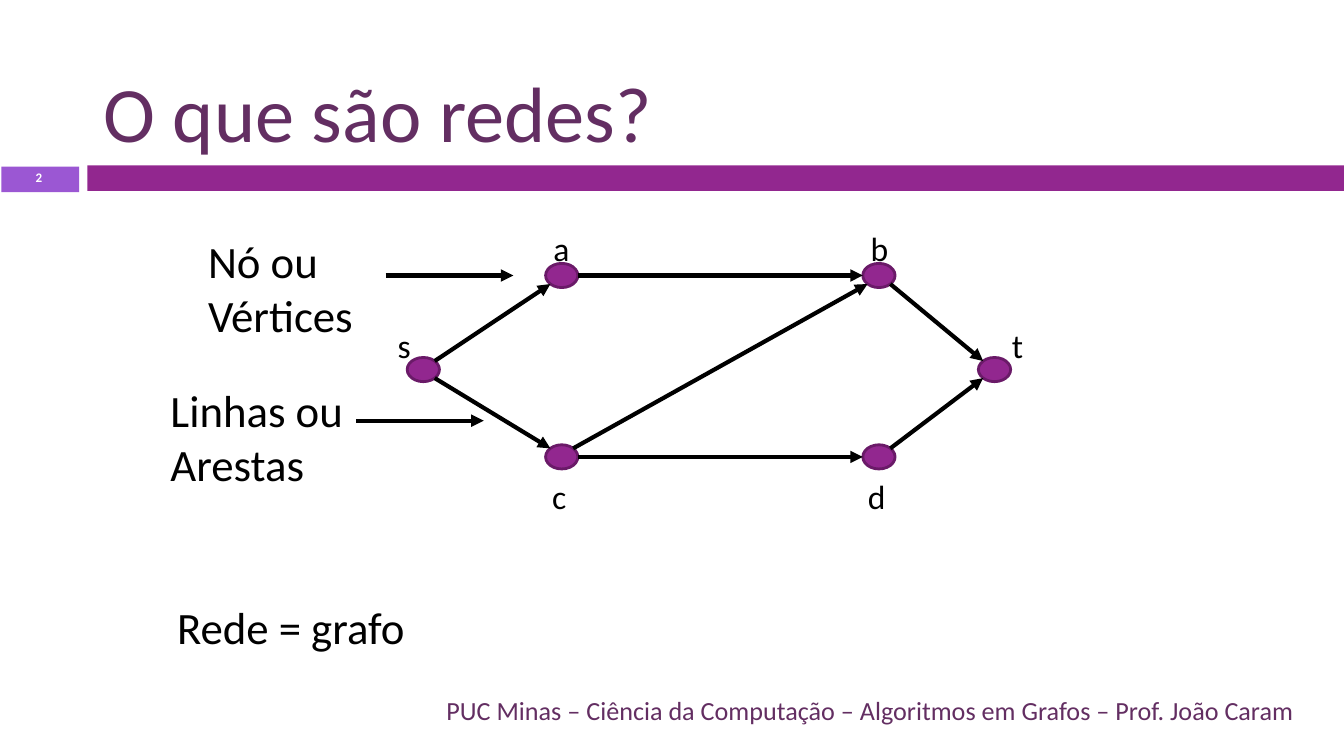
from dataclasses import dataclass
from math import sqrt

from lxml import etree
from pptx import Presentation
from pptx.dml.color import RGBColor
from pptx.enum.shapes import MSO_CONNECTOR, MSO_SHAPE
from pptx.enum.text import MSO_ANCHOR, MSO_AUTO_SIZE, PP_ALIGN
from pptx.oxml.ns import qn
from pptx.util import Inches, Pt


@dataclass(frozen=True)
class Theme:
    font: str = "Calibri"
    purple: str = "92278F"
    violet: str = "9B57D3"
    outline: str = "6A1A68"
    heading: str = "632E62"
    ink: str = "000000"
    white: str = "FFFFFF"
    title_size: int = 42
    note_size: int = 24
    label_size: int = 18
    footer_size: int = 14
    number_size: int = 7


class NetworkSlide:
    """Draws the elements of a network slide in one theme."""

    node_width, node_height = 0.24, 0.18

    def __init__(self, page, theme):
        self.page = page
        self.theme = theme

    def shape(self, kind, left, top, width, height, fill, outline=None):
        shape = self.page.shapes.add_shape(
            kind, Inches(left), Inches(top), Inches(width), Inches(height))
        shape.shadow.inherit = False
        shape.fill.solid()
        shape.fill.fore_color.rgb = RGBColor.from_string(fill)
        if outline:
            shape.line.color.rgb = RGBColor.from_string(outline)
            shape.line.width = Pt(1.5)
        else:
            shape.line.fill.background()

    def bar(self, left, top, width, height, fill):
        self.shape(MSO_SHAPE.RECTANGLE, left, top, width, height, fill)

    def node(self, center):
        x, y = center
        self.shape(MSO_SHAPE.OVAL, x - self.node_width / 2, y - self.node_height / 2,
                   self.node_width, self.node_height, self.theme.purple, self.theme.outline)

    def arrow(self, start, end):
        line = self.page.shapes.add_connector(
            MSO_CONNECTOR.STRAIGHT, *(Inches(value) for value in (*start, *end)))
        line.line.color.rgb = RGBColor.from_string(self.theme.ink)
        line.line.width = Pt(2.25)
        properties = line._element.spPr
        etree.SubElement(properties.find(qn("a:ln")), qn("a:tailEnd"), type="triangle")
        etree.SubElement(properties, qn("a:effectLst"))

    def edge(self, start, end):
        (x1, y1), (x2, y2) = start, end
        slope = (y2 > y1) - (y2 < y1)
        reach = 1 / sqrt(2) if slope else 1
        dx = self.node_width / 2 * reach
        dy = self.node_height / 2 * reach * slope
        self.arrow((x1 + dx, y1 + dy), (x2 - dx, y2 - dy))

    def text(self, words, left, top, width, height, size, color, wrap=True, grow=False,
             anchor=MSO_ANCHOR.TOP, align=PP_ALIGN.LEFT, bold=False, spacing=None):
        box = self.page.shapes.add_textbox(
            Inches(left), Inches(top), Inches(width), Inches(height))
        frame = box.text_frame
        frame.word_wrap = wrap
        frame.auto_size = MSO_AUTO_SIZE.SHAPE_TO_FIT_TEXT if grow else MSO_AUTO_SIZE.NONE
        frame.vertical_anchor = anchor
        para = frame.paragraphs[0]
        para.alignment = align
        if spacing:
            para.line_spacing = spacing
        span = para.add_run()
        span.text = words
        span.font.name = self.theme.font
        span.font.size = Pt(size)
        span.font.bold = bold
        span.font.color.rgb = RGBColor.from_string(color)

    def label(self, letter, left, top, width):
        self.text(letter, left, top, width, 0.4, self.theme.label_size, self.theme.ink,
                  wrap=False, grow=True)

    def note(self, words, left, top, width, height, wrap=True):
        self.text(words, left, top, width, height, self.theme.note_size, self.theme.ink,
                  wrap=wrap, grow=True)


def main():
    deck = Presentation()
    deck.slide_width, deck.slide_height = Inches(10), Inches(10 * 9 / 16)
    theme = Theme()
    slide = NetworkSlide(deck.slides.add_slide(deck.slide_layouts[6]), theme)

    slide.bar(0.01, 1.24, 0.58, 0.19, theme.violet)
    slide.bar(0.65, 1.23, 9.35, 0.19, theme.purple)
    slide.text("O que são redes?", 0.67, 0.13, 8.92, 1.1, theme.title_size, theme.heading,
               anchor=MSO_ANCHOR.BOTTOM)

    upper, middle, lower = 2.05, 2.75, 3.4
    nodes = {"a": (4.18, upper), "s": (3.15, middle), "c": (4.18, lower),
             "b": (6.54, upper), "d": (6.54, lower), "t": (7.4, middle)}
    for center in nodes.values():
        slide.node(center)
    for start, end in ("sa", "ab", "bt", "cb", "sc", "cd", "dt"):
        slide.edge(nodes[start], nodes[end])

    labels = [("s", 2.86, 2.37, 0.32), ("t", 7.43, 2.37, 0.29),
              ("a", 4.02, 1.65, 0.34), ("b", 6.38, 1.65, 0.35),
              ("c", 4.01, 3.49, 0.32), ("d", 6.36, 3.49, 0.35)]
    for label in labels:
        slide.label(*label)

    for left, y in ((2.87, upper), (2.65, 3.13)):
        slide.arrow((left, y), (left + 0.95, y))
    slide.note("Nó ou Vértices", 1.45, 1.69, 1.43, 1.3)
    slide.note("Linhas ou Arestas", 1.17, 2.8, 1.81, 0.9)
    slide.note("Rede = grafo", 1.22, 4.41, 2.2, 0.5, wrap=False)

    slide.text("PUC Minas – Ciência da Computação – Algoritmos em Grafos – Prof. João Caram",
               0.67, 5.13, 9.06, 0.3, theme.footer_size, theme.heading,
               anchor=MSO_ANCHOR.MIDDLE, align=PP_ALIGN.RIGHT)
    slide.text("2", 0, 1.23, 0.58, 0.2, theme.number_size, theme.white,
               anchor=MSO_ANCHOR.MIDDLE, align=PP_ALIGN.CENTER, bold=True, spacing=0.7)
    deck.save("out.pptx")


if __name__ == "__main__":
    main()
